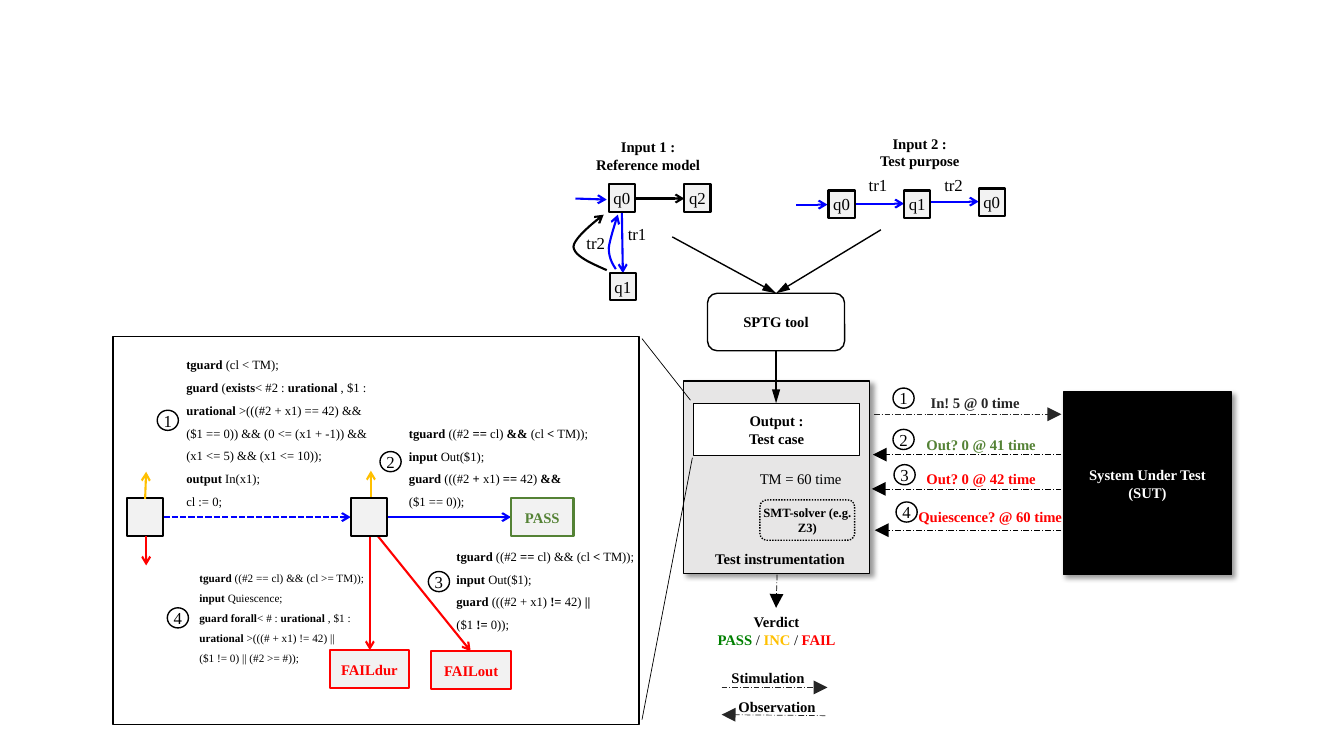
from lxml.etree import SubElement
from pptx import Presentation
from pptx.dml.color import RGBColor
from pptx.enum.dml import MSO_LINE
from pptx.enum.shapes import MSO_CONNECTOR, MSO_SHAPE
from pptx.enum.text import MSO_ANCHOR, PP_ALIGN
from pptx.oxml.ns import qn
from pptx.util import Cm, Pt

RECT, ROUND, OVAL = MSO_SHAPE.RECTANGLE, MSO_SHAPE.ROUNDED_RECTANGLE, MSO_SHAPE.OVAL
LEFT, CENTER = PP_ALIGN.LEFT, PP_ALIGN.CENTER
TOP, MIDDLE = MSO_ANCHOR.TOP, MSO_ANCHOR.MIDDLE
DASH, DOT, DASH_DOT = MSO_LINE.SQUARE_DOT, MSO_LINE.ROUND_DOT, MSO_LINE.LONG_DASH_DOT
STRAIGHT = MSO_CONNECTOR.STRAIGHT

BLACK = RGBColor(0x00, 0x00, 0x00)
WHITE = RGBColor(0xFF, 0xFF, 0xFF)
DARK = RGBColor(0x26, 0x26, 0x26)
GRAY = RGBColor(0xE7, 0xE6, 0xE6)
PALE = RGBColor(0xF2, 0xF2, 0xF2)
RED = RGBColor(0xFF, 0x00, 0x00)
BLUE = RGBColor(0x00, 0x00, 0xFF)
GOLD = RGBColor(0xFF, 0xC0, 0x00)
GREEN = RGBColor(0x00, 0x80, 0x00)
OLIVE = RGBColor(0x54, 0x82, 0x35)

OPEN = ("arrow", "med", "med")
SLIM = ("triangle", "med", "lg")
BIG = ("triangle", "lg", "lg")


def inch(value):
    """Turn a layout value in inches into a Cm length."""
    return Cm(value * 2.54)


class Canvas:
    font = "Times New Roman"

    def __init__(self, slide):
        self.slide = slide

    def stroke(self, shape, color, width, dash=None, head=None):
        line = shape.line
        line.color.rgb = color
        line.width = Pt(width)
        if dash is not None:
            line.dash_style = dash
        if head:
            kind, wide, long = head
            ln = shape.element.spPr.find(qn("a:ln"))
            SubElement(ln, qn("a:tailEnd"), type=kind, w=wide, len=long)

    def set_text(self, shape, text, size, color, bold, align, anchor, space=None):
        """Fill the frame; ** in a line switches bold on and off."""
        frame = shape.text_frame
        frame.word_wrap = True
        frame.vertical_anchor = anchor
        for i, row in enumerate(text.split("\n")):
            para = frame.paragraphs[0] if i == 0 else frame.add_paragraph()
            para.alignment = align
            if space:
                para.line_spacing = space
            font = para.font
            font.name, font.size, font.bold = self.font, Pt(size), bold
            font.color.rgb = color
            for n, part in enumerate(row.split("**")):
                if part:
                    run = para.add_run()
                    run.text = part
                    if n % 2:
                        run.font.bold = True
        return frame

    def box(self, x, y, w, h, text="", kind=RECT, fill=WHITE, edge=BLACK, width=1,
            ink=BLACK, size=10.5, bold=True, dash=None, shade=False):
        shape = self.slide.shapes.add_shape(kind, inch(x), inch(y), inch(w), inch(h))
        shape.shadow.inherit = False
        if fill is None:
            shape.fill.background()
        else:
            shape.fill.solid()
            shape.fill.fore_color.rgb = fill
        self.stroke(shape, edge, width, dash)
        if shade:
            effects = shape.element.spPr.find(qn("a:effectLst"))
            outer = SubElement(effects, qn("a:outerShdw"), blurRad=str(Pt(4)),
                               dist=str(Pt(3)), dir="2700000", algn="tl", rotWithShape="0")
            tint = SubElement(outer, qn("a:srgbClr"), val="000000")
            SubElement(tint, qn("a:alpha"), val="40000")
        if text:
            frame = self.set_text(shape, text, size, ink, bold, CENTER, MIDDLE)
            frame.margin_left = frame.margin_right = 0
            frame.margin_top = frame.margin_bottom = 0

    def state(self, x, y, name):
        self.box(x, y, 0.26, 0.27, name, fill=PALE, width=1.5, size=12, bold=False)

    def badge(self, x, y, mark):
        self.box(x, y, 0.21, 0.2, mark, kind=OVAL, size=12, bold=False)

    def label(self, x, y, w, h, text, size=10.5, color=BLACK, bold=True,
              align=CENTER, anchor=TOP, space=None):
        shape = self.slide.shapes.add_textbox(inch(x), inch(y), inch(w), inch(h))
        return self.set_text(shape, text, size, color, bold, align, anchor, space)

    def code(self, x, y, w, h, text, size=9):
        self.label(x, y, w, h, text, size, bold=False, align=LEFT, space=1.5)

    def line(self, x1, y1, x2, y2, color=BLACK, width=1.5, head=OPEN, dash=None):
        link = self.slide.shapes.add_connector(STRAIGHT, inch(x1), inch(y1), inch(x2), inch(y2))
        self.stroke(link, color, width, dash, head)
        SubElement(link.element.spPr, qn("a:effectLst"))

    def curve(self, color, start, *arcs, steps=12):
        """Draw an open arrow along cubic arcs, each two controls and an end."""
        dots, last = [], start
        for one, two, end in arcs:
            for t in (k / steps for k in range(1, steps + 1)):
                s = 1 - t
                dots.append(tuple(
                    inch(s**3 * a + 3 * s * s * t * b + 3 * s * t * t * c + t**3 * d)
                    for a, b, c, d in zip(last, one, two, end)))
            last = end
        outline = self.slide.shapes.build_freeform(inch(start[0]), inch(start[1]))
        outline.add_line_segments(dots, close=False)
        shape = outline.convert_to_shape()
        shape.shadow.inherit = False
        shape.fill.background()
        self.stroke(shape, color, 1.5, head=OPEN)


def draw_bench(c):
    """Draw the tool, the test bench and its exchange with the system."""
    c.box(10.55, 3.89, 1.67, 1.81, "System Under Test\n(SUT)", fill=BLACK, ink=WHITE, shade=True)
    c.box(6.78, 3.78, 1.85, 1.91, fill=GRAY, shade=True)
    c.box(7.02, 2.91, 1.36, 0.57, "SPTG tool", kind=ROUND)
    for x, y, end in ((8.74, 2.28, 2.91), (6.67, 2.35, 2.91), (7.7, 3.48, 4)):
        c.line(x, y, 7.7, end, width=1, head=SLIM)
    c.box(6.88, 4, 1.65, 0.52, "Output :\nTest case")
    c.label(7.44, 4.61, 1.6, 0.29, "TM = 60 time", bold=False, align=LEFT)
    c.box(7.54, 4.96, 0.94, 0.4, "SMT-solver (e.g. Z3)", kind=ROUND, fill=None, size=9, dash=DOT)
    c.label(5.28, 5.41, 4.92, 0.29, "Test instrumentation")
    c.line(6.85, 3.97, 6.37, 3.36, width=0.5, head=None)
    c.line(6.87, 4.54, 6.37, 7.14, width=0.5, head=None)
    for x1, y1, x2, y2, color in (
            (8.67, 4.11, 10.53, 4.11, DARK), (10.53, 4.51, 8.66, 4.51, BLACK),
            (10.53, 4.85, 8.65, 4.85, BLACK), (10.53, 5.26, 8.68, 5.26, BLACK),
            (7.71, 5.7, 7.7, 6.03, BLACK), (7.16, 6.82, 8.21, 6.82, DARK),
            (8.19, 7.1, 7.16, 7.09, DARK)):
        c.line(x1, y1, x2, y2, color, 0.5, BIG, DASH_DOT)
    for x, y, text, color in (
            (8.74, 3.86, "In! 5 @ 0 time", DARK), (8.8, 4.27, "Out? 0 @ 41 time", OLIVE),
            (8.8, 4.61, "Out? 0 @ 42 time", RED), (8.89, 4.99, "Quiescence? @ 60 time", RED)):
        c.label(x, y, 1.87, 0.29, text, color=color)
    frame = c.label(6.67, 6.03, 2.07, 0.47, "Verdict\n**PASS **/ **INC **/ **FAIL**")
    for run, color in zip(frame.paragraphs[1].runs, (GREEN, BLACK, GOLD, BLACK, RED)):
        run.font.color.rgb = color
        run.font.bold = color != BLACK
    c.label(7.12, 6.59, 1, 0.28, "Stimulation")
    c.label(7.21, 6.87, 1, 0.28, "Observation")


def draw_case(c):
    """Draw the enlarged test case on the left."""
    c.line(1.62, 5.13, 3.48, 5.13, BLUE, dash=DASH)
    c.line(3.85, 5.13, 5.07, 5.13, BLUE)
    c.line(3.75, 5.32, 4.67, 6.46, RED)
    c.line(3.67, 5.32, 3.67, 6.45, RED)
    c.code(1.75, 3.42, 2.06, 1.66, "**tguard** (cl < TM);\n"
           "**guard** (**exists**< #2 : **urational** , $1 : **urational** >(((#2 + x1) == 42) "
           "&& ($1 == 0)) && (0 <= (x1 + -1)) && (x1 <= 5) && (x1 <= 10));\n"
           "**output** In(x1);\ncl := 0;")
    c.code(3.96, 4.1, 2.74, 0.98, "**tguard** ((#2 **==** cl) **&&** (cl **<** TM));\n"
           "**input** Out($1);\n**guard** (((#2 **+** x1) **==** 42) **&&**\n($1 == 0));")
    c.code(4.43, 5.32, 2.02, 0.98, "**tguard** ((#2 **==** cl) && (cl **<** TM));\n"
           "**input** Out($1);\n**guard** (((#2 + x1) **!=** 42) **||**\n($1 **!=** 0));")
    c.code(1.88, 5.55, 2.07, 1.09, "**tguard** ((#2 == cl) && (cl >= TM));\n"
           "**input** Quiescence;\n**guard forall**< # : **urational** , $1 : **urational** "
           ">(((# + x1) != 42) ||\n($1 != 0) || (#2 >= #));", 8)
    for x, y, w, text, color in (
            (1.26, 4.94, 0.36, "", BLACK), (3.48, 4.94, 0.36, "", BLACK),
            (5.07, 4.94, 0.62, "PASS", OLIVE), (4.28, 6.46, 0.79, "FAILout", RED),
            (3.27, 6.45, 0.79, "FAILdur", RED)):
        c.box(x, y, w, 0.38, text, fill=PALE, edge=color, ink=color, width=1.5)
    c.line(3.68, 4.93, 3.68, 4.67, GOLD)
    c.line(1.44, 4.95, 1.45, 4.68, GOLD)
    c.line(1.45, 5.32, 1.45, 5.61, RED)


def draw_inputs(c):
    """Draw the reference model and the test purpose."""
    c.label(5.41, 1.32, 2.04, 0.45, "Input 1 :\nReference model")
    c.label(8.3, 1.25, 1.65, 0.52, "Input 2 :\nTest purpose", anchor=MIDDLE)
    c.line(6.3, 1.97, 6.79, 1.97)
    for ends in ((6.17, 2.1, 6.18, 2.71), (5.71, 1.97, 6.02, 1.98), (7.9, 2.03, 8.21, 2.03),
                 (8.48, 2.02, 8.97, 2.02), (9.21, 2, 9.71, 2)):
        c.line(*ends, BLUE)
    c.curve(BLUE, (6.11, 2.67), ((6.07, 2.61), (6.04, 2.55), (6.04, 2.46)),
            ((6.05, 2.37), (6.13, 2.13), (6.13, 2.13)))
    c.curve(BLACK, (6.02, 2.68), ((5.86, 2.61), (5.7, 2.54), (5.69, 2.45)),
            ((5.69, 2.35), (5.99, 2.13), (5.99, 2.13)))
    for x, y, name in ((6.04, 1.83, "q0"), (6.05, 2.71, "q1"), (6.79, 1.83, "q2"),
                       (8.22, 1.89, "q0"), (8.97, 1.89, "q1"), (9.71, 1.87, "q0")):
        c.state(x, y, name)
    for x, y, name in ((6.13, 2.17, "tr1"), (5.72, 2.26, "tr2"),
                       (8.52, 1.68, "tr1"), (9.27, 1.68, "tr2")):
        c.label(x, y, 0.48, 0.3, name, 12, bold=False, align=LEFT)


def main():
    deck = Presentation()
    deck.slide_width, deck.slide_height = Cm(33.87), Cm(19.05)
    c = Canvas(deck.slides.add_slide(deck.slide_layouts[6]))
    c.box(1.12, 3.34, 5.22, 3.85)
    draw_bench(c)
    draw_case(c)
    for marks in (((1.56, 4.07), (3.77, 4.48), (4.25, 5.67), (1.66, 6.03)),
                  ((8.86, 3.85), (8.86, 4.26), (8.87, 4.61), (8.89, 4.98))):
        for i, (x, y) in enumerate(marks, 1):
            c.badge(x, y, str(i))
    draw_inputs(c)
    deck.save("out.pptx")


if __name__ == "__main__":
    main()
